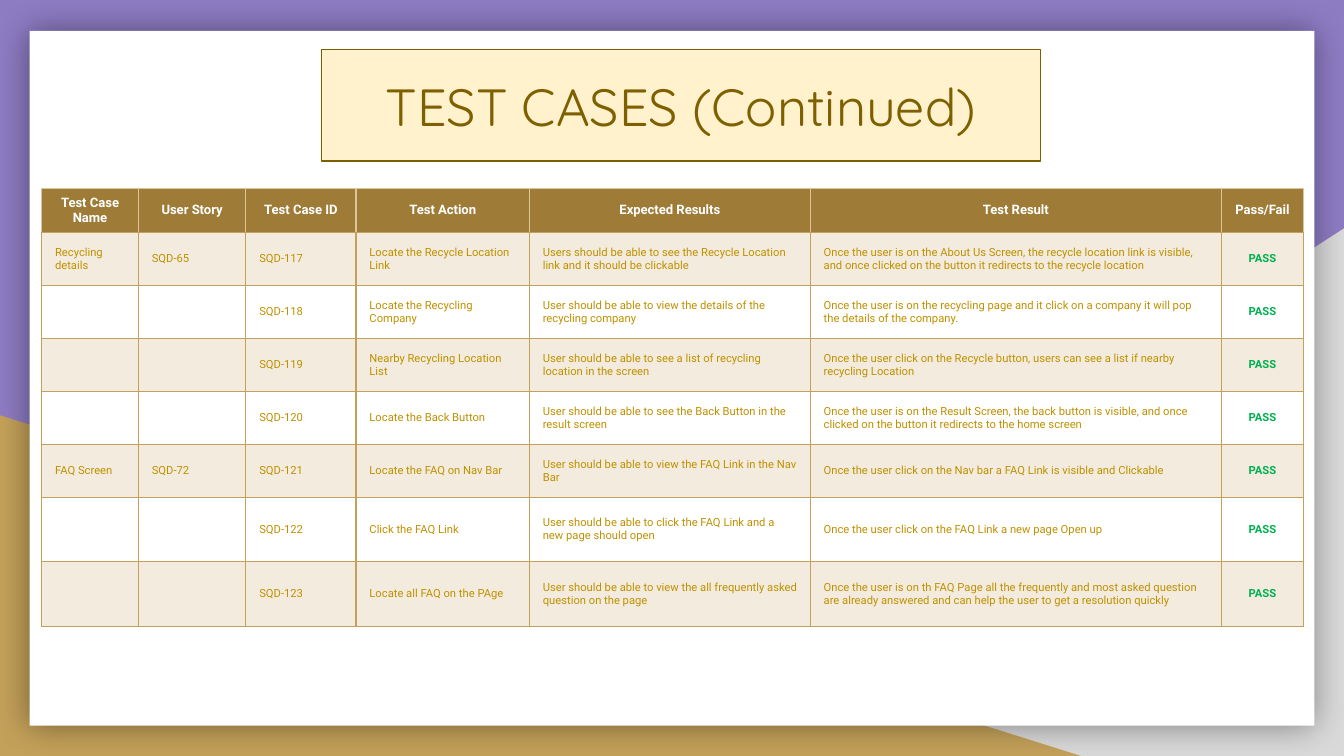
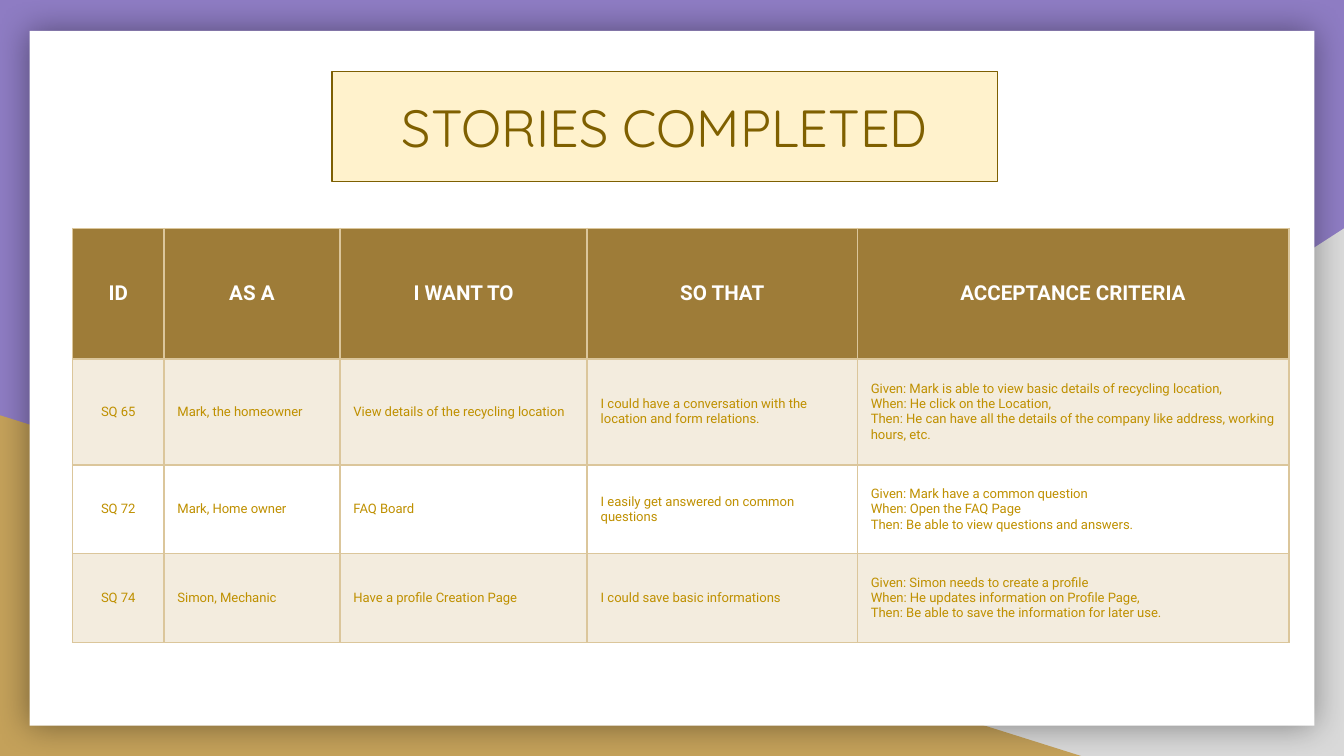
from lxml import etree
from pptx import Presentation
from pptx.dml.color import RGBColor
from pptx.enum.shapes import MSO_SHAPE
from pptx.enum.text import MSO_ANCHOR, PP_ALIGN
from pptx.oxml.ns import qn
from pptx.util import Inches, Pt

RECTANGLE = MSO_SHAPE.RECTANGLE
TRIANGLE = MSO_SHAPE.RIGHT_TRIANGLE
MIDDLE = MSO_ANCHOR.MIDDLE
CENTER, LEFT = PP_ALIGN.CENTER, PP_ALIGN.LEFT

PURPLE, GREY, GOLD, WHITE = "8E7CC3", "D9D9D9", "C4A15A", "FFFFFF"
CREAM, TITLE_LINE, TITLE_TEXT = "FFF2CC", "7D5F02", "7F6000"
HEADER, PALE_GOLD, BODY_TEXT, GREEN = "9E7C38", "DBC69B", "BF9000", "00B050"
TITLE_FONT, TABLE_FONT = "Quicksand", "Roboto"
PASS = "PASS"

TEST_HEADERS = ["Test Case Name", "User Story", "Test Case ID", "Test Action",
                "Expected Results", "Test Result", "Pass/Fail"]
TEST_CASES = [
    ["Recycling details", "SQD-65", "SQD-117", "Locate the Recycle Location Link",
     "Users should be able to see the Recycle Location link and it should be clickable",
     "Once the user is on the About Us Screen, the recycle location link is visible, "
     "and once clicked on the button it redirects to the recycle location"],
    ["", "", "SQD-118", "Locate the Recycling Company",
     "User should be able to view the details of the recycling company",
     "Once the user is on the recycling page and it click on a company it will pop "
     "the details of the company."],
    ["", "", "SQD-119", "Nearby Recycling Location List",
     "User should be able to see a list of recycling location in the screen",
     "Once the user click on the Recycle button, users can see a list if nearby "
     "recycling Location"],
    ["", "", "SQD-120", "Locate the Back Button",
     "User should be able to see the Back Button in the result screen",
     "Once the user is on the Result Screen, the back button is visible, and once "
     "clicked on the button it redirects to the home screen"],
    ["FAQ Screen", "SQD-72", "SQD-121", "Locate the FAQ on Nav Bar",
     "User should be able to view the FAQ Link in the Nav Bar",
     "Once the user click on the Nav bar a FAQ Link is visible and Clickable"],
    ["", "", "SQD-122", "Click the FAQ Link",
     "User should be able to click the FAQ Link and a new page should open",
     "Once the user click on the FAQ Link a new page Open up"],
    ["", "", "SQD-123", "Locate all FAQ on the PAge",
     "User should be able to view the all frequently asked question on the page",
     "Once the user is on th FAQ Page all the frequently and most asked question "
     "are already answered and can help the user to get a resolution quickly"],
]

STORY_HEADERS = ["ID", "AS A", "I WANT TO", "SO THAT", "ACCEPTANCE CRITERIA"]
STORIES = [
    ["SQ 65", "Mark, the homeowner", "View details of the recycling location",
     "I could have a conversation with the location and form relations.",
     "Given: Mark is able to view basic details of recycling location,\n"
     "When: He click on the Location,\n"
     "Then: He can have all the details of the company like address, working hours, etc."],
    ["SQ 72", "Mark, Home owner", "FAQ Board",
     "I easily get answered on common questions",
     "Given: Mark have a common question\n"
     "When: Open the FAQ Page\n"
     "Then: Be able to view questions and answers."],
    ["SQ 74", "Simon, Mechanic", "Have a profile Creation Page",
     "I could save basic informations",
     "Given: Simon needs to create a profile\n"
     "When: He updates information on Profile Page,\n"
     "Then: Be able to save the information for later use."],
]


def color(value):
    return RGBColor.from_string(value)


def add_xml_color(parent, value, alpha=None):
    element = etree.SubElement(parent, qn("a:srgbClr"), val=value)
    if alpha is not None:
        etree.SubElement(element, qn("a:alpha"), val=str(alpha * 1000))


class Deck:
    def __init__(self):
        self.presentation = Presentation()
        self.presentation.slide_width = Inches(10)
        self.presentation.slide_height = Inches(10) * 9 // 16
        self.slide = None

    def add_slide(self, title, title_box):
        """Start a slide with the shared background, panel and title."""
        self.slide = self.presentation.slides.add_slide(self.presentation.slide_layouts[6])
        background = self.slide.background.fill
        background.solid()
        background.fore_color.rgb = color(PURPLE)
        grey_corner = self.shape(TRIANGLE, (3.92, 1.7, 6.08, 3.93), GREY)
        grey_corner.element.spPr.find(qn("a:xfrm")).set("flipH", "1")
        self.shape(TRIANGLE, (0, 3.09, 8.06, 2.54), GOLD)
        self.soft_shadow(self.shape(RECTANGLE, (0.22, 0.23, 9.56, 5.17), WHITE))
        self.title(title, title_box)

    def shape(self, kind, box, fill, line=None):
        shape = self.slide.shapes.add_shape(kind, *[Inches(length) for length in box])
        shape.shadow.inherit = False
        shape.fill.solid()
        shape.fill.fore_color.rgb = color(fill)
        if line:
            shape.line.color.rgb = color(line)
            shape.line.width = Pt(0.75)
        else:
            shape.line.fill.background()
        return shape

    def soft_shadow(self, shape):
        effects = shape.element.spPr.find(qn("a:effectLst"))
        shadow = etree.SubElement(effects, qn("a:outerShdw"), blurRad=str(Pt(18)),
                                  dist="0", dir="0", algn="ctr", rotWithShape="0")
        add_xml_color(shadow, "000000", 40)

    def format_text(self, text_frame, font, size, text_color, alignment, bold=False):
        for paragraph in text_frame.paragraphs:
            paragraph.alignment = alignment
            for run in paragraph.runs:
                run.font.name = font
                run.font.size = Pt(size)
                run.font.bold = bold
                run.font.color.rgb = color(text_color)

    def title(self, text, box):
        text_frame = self.shape(RECTANGLE, box, CREAM, TITLE_LINE).text_frame
        text_frame.text = text
        text_frame.word_wrap = True
        text_frame.vertical_anchor = MIDDLE
        text_frame.margin_left = text_frame.margin_right = Inches(0.1)
        text_frame.margin_top = text_frame.margin_bottom = Inches(0.1)
        self.format_text(text_frame, TITLE_FONT, 28, TITLE_TEXT, CENTER)

    def borders(self, cell, colors, width):
        """Colours run left, right, top, bottom."""
        properties = cell._tc.get_or_add_tcPr()
        for index, (side, value) in enumerate(zip("LRTB", colors)):
            line = etree.Element(qn(f"a:ln{side}"), w=str(Pt(width)))
            add_xml_color(etree.SubElement(line, qn("a:solidFill")), value)
            properties.insert(index, line)

    def fill_cell(self, cell, row):
        if row and row % 2 == 0:
            cell.fill.background()
            return
        cell.fill.solid()
        cell.fill.fore_color.rgb = color(GOLD if row else HEADER)
        if row:
            fill_color = cell._tc.tcPr.find(f"{qn('a:solidFill')}/{qn('a:srgbClr')}")
            etree.SubElement(fill_color, qn("a:alpha"), val="20000")

    def table(self, left, top, widths, heights, rows, sizes, centered, border, border_width):
        """Sizes are header and body text; centered is the centred body column."""
        shape = self.slide.shapes.add_table(
            len(rows), len(widths), Inches(left), Inches(top),
            Inches(sum(widths)), Inches(sum(heights)))
        table = shape.table
        table.first_row = table.horz_banding = False
        for column, width in zip(table.columns, widths):
            column.width = Inches(width)
        for table_row, height in zip(table.rows, heights):
            table_row.height = Inches(height)

        for row, texts in enumerate(rows):
            for column, text in enumerate(texts):
                cell = table.cell(row, column)
                cell.text_frame.text = text
                cell.vertical_anchor = MIDDLE
                cell.margin_left = cell.margin_right = Inches(0.1)
                margin = 0 if not text else 0.1 if row else 0.05
                cell.margin_top = cell.margin_bottom = Inches(margin)
                self.fill_cell(cell, row)
                # The header's lower edge takes the body colour
                edges = [border] * 4 if row else [PALE_GOLD] * 3 + [border]
                self.borders(cell, edges, border_width)
                passed = text == PASS
                text_color = WHITE if row == 0 else GREEN if passed else BODY_TEXT
                alignment = CENTER if row == 0 or column == centered else LEFT
                self.format_text(cell.text_frame, TABLE_FONT, sizes[min(row, 1)],
                                 text_color, alignment, row == 0 or passed)


def main():
    deck = Deck()

    # Test cases
    deck.add_slide("TEST CASES (Continued)", (2.39, 0.37, 5.35, 0.83))
    deck.table(0.31, 1.4, [0.72, 0.8, 0.82, 1.29, 2.09, 3.06, 0.61],
               [0.33] + [0.39] * 5 + [0.48] * 2,
               [TEST_HEADERS] + [case + [PASS] for case in TEST_CASES],
               (7, 6), 6, GOLD, 0.75)

    # Completed stories
    deck.add_slide("STORIES COMPLETED", (2.47, 0.53, 4.95, 0.82))
    deck.table(0.54, 1.7, [0.68, 1.31, 1.84, 2.01, 3.21], [0.97, 0.79, 0.66, 0.66],
               [STORY_HEADERS] + STORIES, (11, 7), 0, PALE_GOLD, 1)

    deck.presentation.save("out.pptx")


if __name__ == "__main__":
    main()
